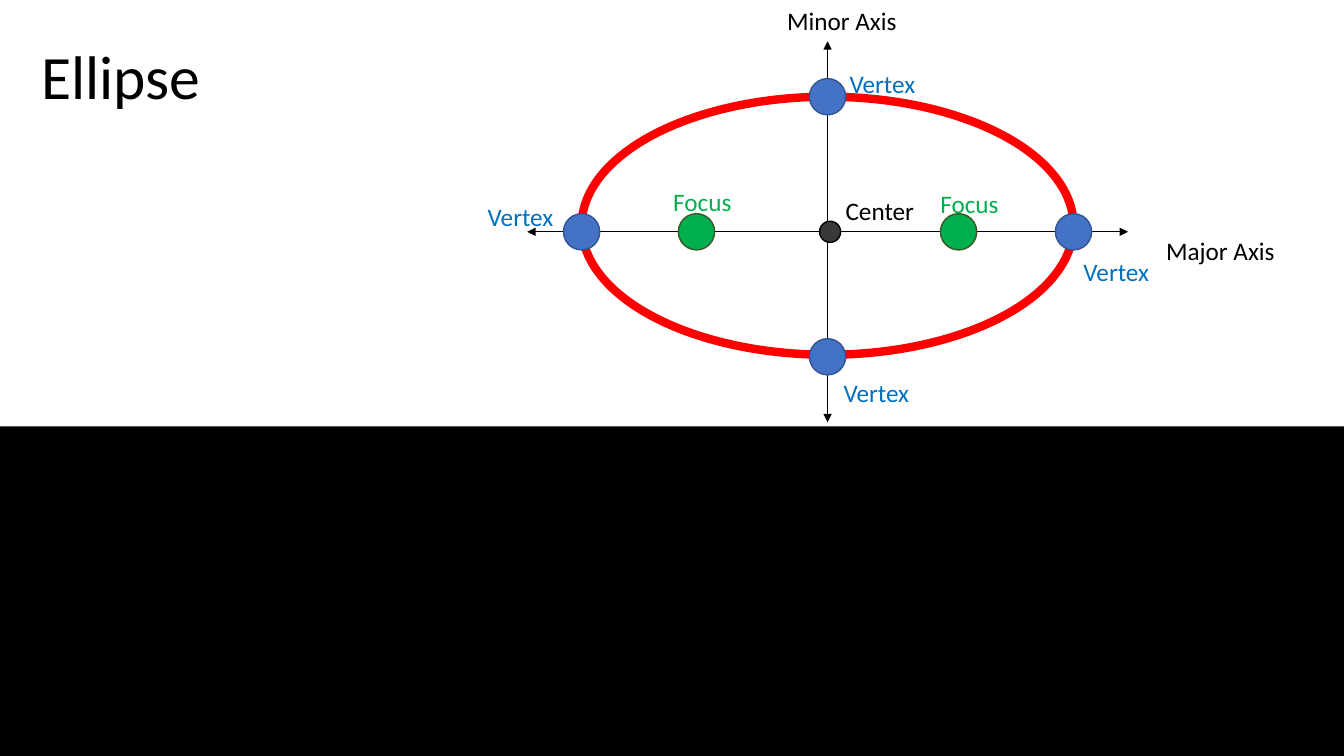
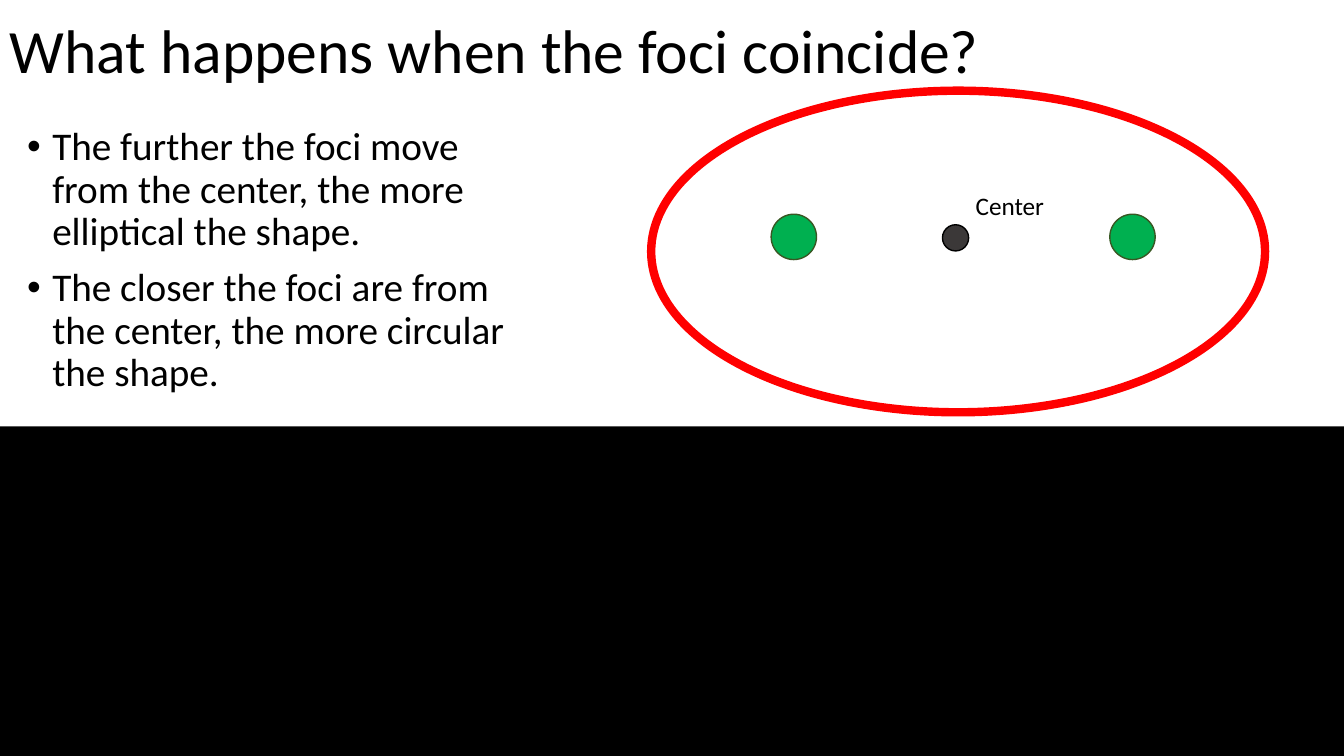
from dataclasses import dataclass
from typing import Any, Optional

from lxml.etree import SubElement
from pptx import Presentation
from pptx.dml.color import RGBColor
from pptx.enum.shapes import MSO_CONNECTOR, MSO_SHAPE
from pptx.enum.text import MSO_ANCHOR, MSO_AUTO_SIZE
from pptx.oxml.ns import qn
from pptx.util import Inches, Pt

# The grid: square cells, ten to the inch.
CELL = Inches(0.1)
COLUMNS, ROWS = 133.33, 75


@dataclass(frozen=True)
class Theme:
    font: str = "Calibri"
    title_size: float = 44
    body_size: float = 28
    label_size: float = 18
    curve_width: float = 6
    marker_width: float = 1
    axis_width: float = 0.5
    black: str = "000000"
    curve: str = "FF0000"
    vertex: str = "4472C4"
    vertex_edge: str = "325491"
    vertex_text: str = "0070C0"
    focus: str = "00B050"
    focus_edge: str = "385723"
    center: str = "3B3838"


THEME = Theme()


@dataclass(frozen=True)
class Box:
    """A rectangle in columns and rows of the grid."""
    left: float
    top: float
    width: float
    height: float

    def lengths(self) -> tuple[int, ...]:
        return tuple(cells(n) for n in (self.left, self.top, self.width, self.height))


@dataclass(frozen=True)
class Round:
    """An ellipse given by its middle and its size in grid cells."""
    column: float
    row: float
    width: float
    height: float
    edge: str
    fill: Optional[str] = None
    edge_width: float = THEME.marker_width

    def box(self) -> Box:
        return Box(self.column - self.width / 2, self.row - self.height / 2,
                   self.width, self.height)


@dataclass(frozen=True)
class Axis:
    start: tuple[float, float]
    end: tuple[float, float]


@dataclass(frozen=True)
class Label:
    text: str
    left: float
    top: float
    width: float
    color: str = THEME.black


def cells(count: float) -> int:
    return round(count * CELL)


def color(value: str) -> RGBColor:
    return RGBColor.from_string(value)


def apply(target: Any, values: dict[str, Any]) -> None:
    for name, value in values.items():
        setattr(target, name, value)


def ellipse(column: float, row: float, width: float, height: float) -> Round:
    return Round(column, row, width, height, THEME.curve, None, THEME.curve_width)


def vertex(column: float, row: float) -> Round:
    return Round(column, row, 3.6, 3.6, THEME.vertex_edge, THEME.vertex)


def focus(column: float, row: float, size: float) -> Round:
    return Round(column, row, size, size, THEME.focus_edge, THEME.focus)


def center(column: float, row: float, size: float) -> Round:
    return Round(column, row, size, size, THEME.black, THEME.center)


def add_round(slide: Any, item: Round) -> None:
    shape = slide.shapes.add_shape(MSO_SHAPE.OVAL, *item.box().lengths())
    shape.shadow.inherit = False
    if item.fill:
        shape.fill.solid()
        shape.fill.fore_color.rgb = color(item.fill)
    else:
        shape.fill.background()
    shape.line.color.rgb = color(item.edge)
    shape.line.width = Pt(item.edge_width)


def add_axis(slide: Any, axis: Axis) -> None:
    ends = (cells(n) for n in (*axis.start, *axis.end))
    connector = slide.shapes.add_connector(MSO_CONNECTOR.STRAIGHT, *ends)
    connector.line.color.rgb = color(THEME.black)
    connector.line.width = Pt(THEME.axis_width)
    properties = connector._element.spPr
    outline = properties.find(qn("a:ln"))
    for end in ("a:headEnd", "a:tailEnd"):
        SubElement(outline, qn(end), type="triangle")
    SubElement(properties, qn("a:effectLst"))


def add_text(slide: Any, box: Box, lines: list[str], size: float, ink: str,
             frame_format: dict[str, Any], spacing: float = 1,
             bullets: bool = False) -> None:
    frame = slide.shapes.add_textbox(*box.lengths()).text_frame
    apply(frame, {"word_wrap": True, **frame_format})
    for index, line in enumerate(lines):
        paragraph = frame.add_paragraph() if index else frame.paragraphs[0]
        if bullets:
            add_bullet(paragraph)
        apply(paragraph, {"line_spacing": spacing,
                          "space_before": Pt(10 if index else 0)})
        run = paragraph.add_run()
        run.text = line
        apply(run.font, {"name": THEME.font, "size": Pt(size)})
        run.font.color.rgb = color(ink)


def add_bullet(paragraph: Any) -> None:
    properties = paragraph._p.get_or_add_pPr()
    properties.set("marL", str(cells(2.5)))
    properties.set("indent", str(-cells(2.5)))
    SubElement(properties, qn("a:buFont"), typeface="Arial")
    SubElement(properties, qn("a:buChar"), char="•")


def add_title(slide: Any, text: str, left: float, top: float) -> None:
    add_text(slide, Box(left, top, 115, 14.5), [text], THEME.title_size, THEME.black,
             {"vertical_anchor": MSO_ANCHOR.MIDDLE}, spacing=0.9)


def add_label(slide: Any, label: Label) -> None:
    add_text(slide, Box(label.left, label.top, label.width, 4), [label.text],
             THEME.label_size, label.color,
             {"auto_size": MSO_AUTO_SIZE.SHAPE_TO_FIT_TEXT})


def add_black_band(slide: Any) -> None:
    top = 42.3
    band = slide.shapes.add_shape(
        MSO_SHAPE.RECTANGLE, *Box(0, top, COLUMNS, ROWS - top).lengths())
    band.shadow.inherit = False
    band.fill.solid()
    band.fill.fore_color.rgb = color(THEME.black)
    band.line.fill.background()


def add_diagram(slide: Any, rounds: list[Round], labels: list[Label]) -> None:
    for item in rounds:
        add_round(slide, item)
    for label in labels:
        add_label(slide, label)


def build_parts_slide(slide: Any) -> None:
    middle, major_row = 82.1, 23
    half_major, focal_distance = 24.4, 13
    add_title(slide, "Ellipse", 3.1, 0.6)
    for axis in (Axis((middle, 4.1), (middle, 41.9)),
                 Axis((111.9, major_row), (52.3, major_row))):
        add_axis(slide, axis)
    rounds = [ellipse(middle, 22.4, 2 * half_major, 25.6)]
    rounds += [vertex(middle + side * half_major, major_row) for side in (1, -1)]
    rounds += [vertex(middle, row) for row in (9.6, 35.4)]
    rounds += [focus(middle + side * focal_distance, major_row, 3.6) for side in (-1, 1)]
    rounds.append(center(82.35, major_row, 2.1))
    add_diagram(slide, rounds, [
        Label("Major Axis", 114.7, 22.9, 13.3),
        Label("Minor Axis", 77.1, 0, 13.5),
        Label("Vertex", 83.3, 6.3, 13.5, THEME.vertex_text),
        Label("Vertex", 47.4, 19.5, 9.4, THEME.vertex_text),
        Label("Vertex", 82.7, 36.9, 9.6, THEME.vertex_text),
        Label("Vertex", 106.5, 24.9, 9.9, THEME.vertex_text),
        Label("Center", 82.9, 18.9, 9.2),
        Label("Focus", 65.8, 18, 8.3, THEME.focus),
        Label("Focus", 92.3, 18.2, 8.9, THEME.focus),
    ])


def build_foci_slide(slide: Any) -> None:
    foci_middle, foci_row, focal_distance = 95.55, 23.5, 16.8
    add_title(slide, "What happens when the foci coincide?", 0, -1.9)
    add_text(slide, Box(1.7, 12.1, 49.8, 47.6), [
        "The further the foci move from the center, the more elliptical the shape.",
        "The closer the foci are from the center, the more circular the shape.",
    ], THEME.body_size, THEME.black, {}, spacing=0.9, bullets=True)
    rounds = [ellipse(95.05, 24.95, 60.9, 31.9)]
    rounds += [focus(foci_middle + side * focal_distance, foci_row, 4.5)
               for side in (-1, 1)]
    rounds.append(center(94.8, 23.6, 2.6))
    add_diagram(slide, rounds, [Label("Center", 95.8, 18.4, 10.1)])


def main() -> None:
    presentation = Presentation()
    apply(presentation, {"slide_width": cells(COLUMNS), "slide_height": cells(ROWS)})
    blank_layout = presentation.slide_layouts[6]
    for build in (build_parts_slide, build_foci_slide):
        slide = presentation.slides.add_slide(blank_layout)
        build(slide)
        add_black_band(slide)
    presentation.save("out.pptx")


if __name__ == "__main__":
    main()
